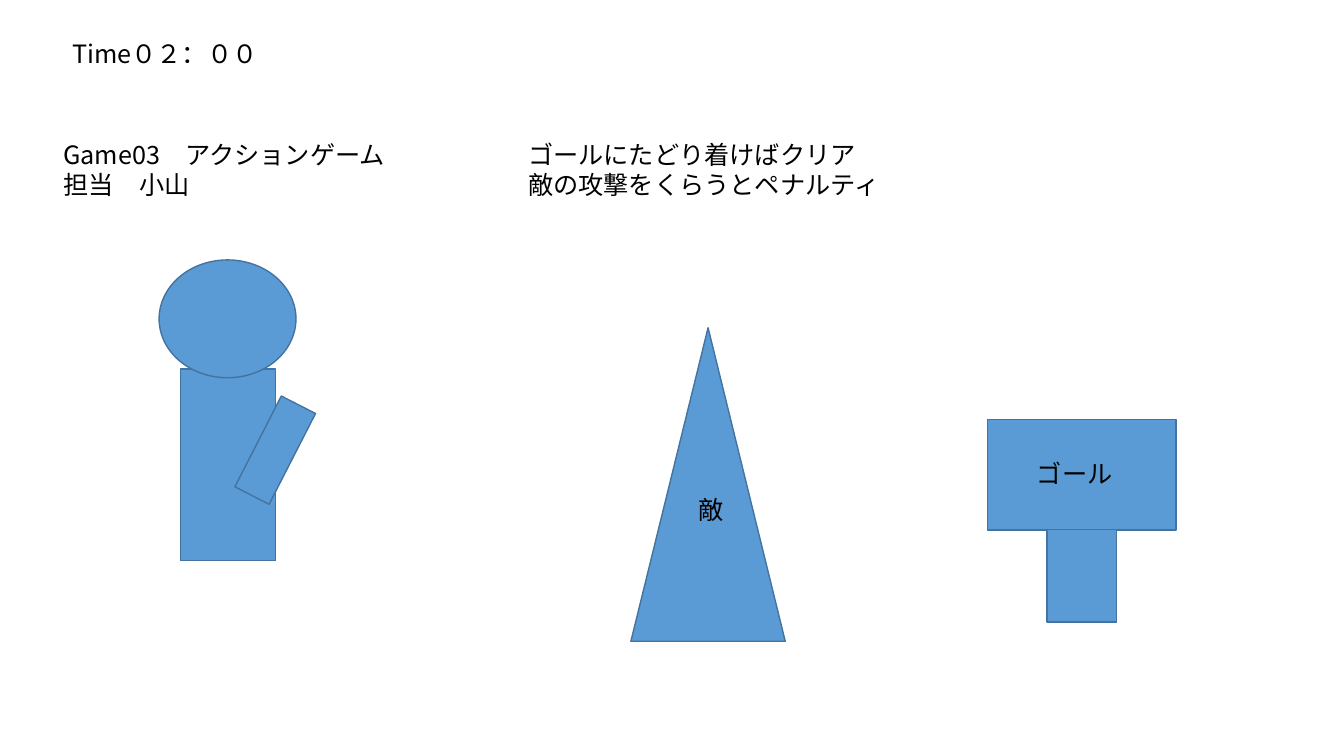
from dataclasses import dataclass

from lxml.etree import SubElement
from pptx import Presentation
from pptx.dml.color import RGBColor
from pptx.enum.shapes import MSO_SHAPE as Preset
from pptx.enum.text import MSO_AUTO_SIZE as AutoSize
from pptx.oxml.ns import qn
from pptx.slide import Slide
from pptx.util import Cm, Pt

BLUE = RGBColor(0x5B, 0x9B, 0xD5)
DARK_BLUE = RGBColor(0x43, 0x73, 0x9E)
BLACK = RGBColor(0, 0, 0)
FONT_NAME = "Noto Sans CJK JP"
FONT_FORMAT = {"name": FONT_NAME, "size": Pt(18)}
FRAME_FORMAT = {"word_wrap": True, "auto_size": AutoSize.SHAPE_TO_FIT_TEXT}


@dataclass(frozen=True)
class Place:
    left: float
    top: float
    width: float
    height: float

    def lengths(self) -> list[Cm]:
        return [Cm(value) for value in (self.left, self.top, self.width, self.height)]


@dataclass(frozen=True)
class Figure:
    preset: Preset
    place: Place
    rotation: float = 0


@dataclass(frozen=True)
class Label:
    place: Place
    lines: tuple[str, ...]


PLAYER = (
    Figure(Preset.RECTANGLE, Place(4.55, 9.3, 2.4, 4.83)),
    Figure(Preset.RECTANGLE, Place(6.45, 10.06, 0.97, 2.57), 27.1),
    Figure(Preset.OVAL, Place(4.01, 6.55, 3.45, 2.97)),
)
GOAL = (
    Figure(Preset.RECTANGLE, Place(24.89, 10.57, 4.75, 2.79)),
    Figure(Preset.RECTANGLE, Place(26.39, 13.34, 1.75, 2.34)),
)
ENEMY = (Figure(Preset.ISOSCELES_TRIANGLE, Place(15.9, 8.26, 3.89, 7.9)),)

LABELS = (
    Label(Place(1.35, 3.38, 9.14, 1.8), ("Game03　アクションゲーム", "担当　小山")),
    Label(Place(25.88, 11.43, 3.1, 1.02), ("ゴール",)),
    Label(Place(17.35, 12.32, 3.48, 1.02), ("敵",)),
    Label(
        Place(13.06, 3.38, 10.62, 1.8),
        ("ゴールにたどり着けばクリア", "敵の攻撃をくらうとペナルティ"),
    ),
    Label(Place(1.57, 0.84, 6.38, 1.02), ("Time０２：００",)),
)


def apply_format(target: object, values: dict[str, object]) -> None:
    for name, value in values.items():
        setattr(target, name, value)


def draw_figure(page: Slide, figure: Figure) -> None:
    shape = page.shapes.add_shape(figure.preset, *figure.place.lengths())
    shape.rotation = figure.rotation
    shape.shadow.inherit = False
    shape.fill.solid()
    shape.fill.fore_color.rgb = BLUE
    shape.line.color.rgb = DARK_BLUE
    shape.line.width = Pt(1)


def draw_label(page: Slide, label: Label) -> None:
    box = page.shapes.add_textbox(*label.place.lengths())
    frame = box.text_frame
    apply_format(frame, FRAME_FORMAT)
    frame.text = "\n".join(label.lines)
    for para in frame.paragraphs:
        for span in para.runs:
            apply_format(span.font, FONT_FORMAT)
            span.font.color.rgb = BLACK
            east_asian = SubElement(span.font._element, qn("a:ea"))
            east_asian.set("typeface", FONT_NAME)


def main() -> None:
    deck = Presentation()
    apply_format(deck, {"slide_width": Cm(33.87), "slide_height": Cm(19.05)})
    page = deck.slides.add_slide(deck.slide_layouts[6])
    for figure in PLAYER + GOAL + ENEMY:
        draw_figure(page, figure)
    for label in LABELS:
        draw_label(page, label)
    deck.save("out.pptx")


if __name__ == "__main__":
    main()
